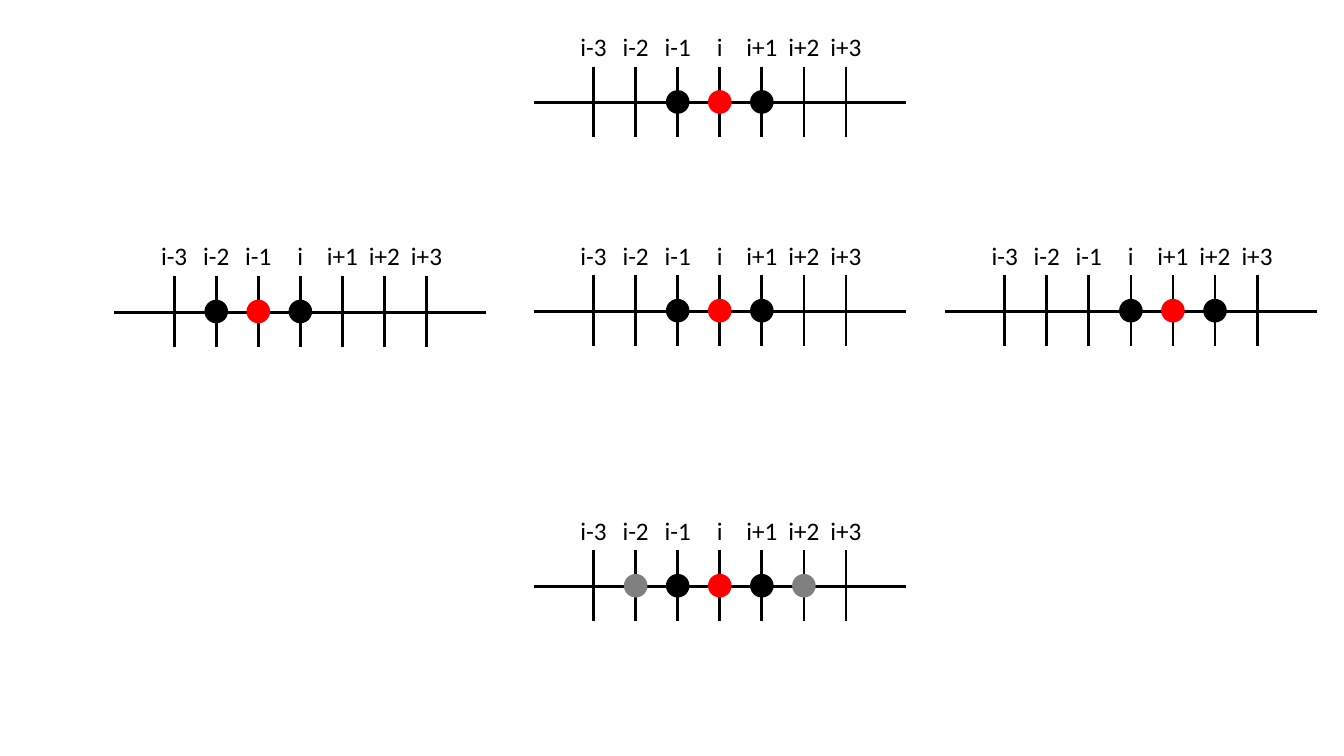
import pptx
import pptx.dml.color
import pptx.enum.shapes
import pptx.enum.text
import pptx.util
from pptx.util import Cm

COLORS = {"line": "000000", "center": "FF0000", "neighbor": "000000", "outer": "808080"}
OFFSETS = range(-3, 4)
SPACING = 1.06
AXIS_HALF = 4.69
TICK_ABOVE, TICK_BELOW = 0.91, 0.87
DOT_SIZE, DOT_RAISE = 0.56, 0.02
LABEL_RAISE, LABEL_HEIGHT = 1.93, 1.02

THREE_POINT = {0: "center", 1: "neighbor", -1: "neighbor"}
FIVE_POINT = {**THREE_POINT, 2: "outer", -2: "outer"}

# Each stencil: x of grid point i, y of the axis, offset of its center, points
STENCILS = [
    (18.14, 2.59, 0, THREE_POINT),
    (7.57, 7.87, -1, THREE_POINT),
    (18.14, 7.85, 0, THREE_POINT),
    (28.5, 7.85, 1, THREE_POINT),
    (18.14, 14.78, 0, FIVE_POINT),
]


def color(name):
    return pptx.dml.color.RGBColor.from_string(COLORS[name])


def add_line(slide, x1, y1, x2, y2):
    connector = slide.shapes.add_connector(
        pptx.enum.shapes.MSO_CONNECTOR.STRAIGHT, Cm(x1), Cm(y1), Cm(x2), Cm(y2))
    connector.line.color.rgb = color("line")
    connector.line.width = pptx.util.Pt(2)
    properties = connector._element.spPr
    properties.append(pptx.oxml.parse_xml(
        '<a:effectLst xmlns:a="http://schemas.openxmlformats.org/drawingml/2006/main"/>'))


def add_dot(slide, x, y, color_name):
    shape = slide.shapes.add_shape(
        pptx.enum.shapes.MSO_SHAPE.OVAL, Cm(x - DOT_SIZE / 2), Cm(y - DOT_SIZE / 2),
        Cm(DOT_SIZE), Cm(DOT_SIZE))
    shape.shadow.inherit = False
    shape.fill.solid()
    shape.fill.fore_color.rgb = color(color_name)
    shape.line.color.rgb = color(color_name)
    shape.line.width = pptx.util.Pt(1)


def add_label(slide, x, top, offset):
    width = 0.66 if offset == 0 else 1.3 if offset > 0 else 1.17
    box = slide.shapes.add_textbox(Cm(x - width / 2), Cm(top), Cm(width), Cm(LABEL_HEIGHT))
    frame = box.text_frame
    frame.word_wrap = False
    frame.auto_size = pptx.enum.text.MSO_AUTO_SIZE.SHAPE_TO_FIT_TEXT
    paragraph = frame.paragraphs[0]
    paragraph.text = f"i{offset:+d}" if offset else "i"
    paragraph.alignment = pptx.enum.text.PP_ALIGN.CENTER
    paragraph.font.name = "Calibri"
    paragraph.font.size = pptx.util.Pt(18)
    paragraph.font.color.rgb = color("line")


def add_stencil(slide, x, y, center, points):
    # Grid ticks and axis
    for offset in OFFSETS:
        tick_x = x + offset * SPACING
        add_line(slide, tick_x, y - TICK_ABOVE, tick_x, y + TICK_BELOW)
    add_line(slide, x + AXIS_HALF, y, x - AXIS_HALF, y)

    # Stencil points
    for step, color_name in points.items():
        add_dot(slide, x + (center + step) * SPACING, y - DOT_RAISE, color_name)

    # Index labels
    for offset in OFFSETS:
        add_label(slide, x + offset * SPACING, y - LABEL_RAISE, offset)


def main():
    presentation = pptx.Presentation()
    presentation.slide_width = Cm(33.87)
    presentation.slide_height = Cm(19.05)
    slide = presentation.slides.add_slide(presentation.slide_layouts[6])
    for stencil in STENCILS:
        add_stencil(slide, *stencil)
    presentation.save("out.pptx")


if __name__ == "__main__":
    main()
